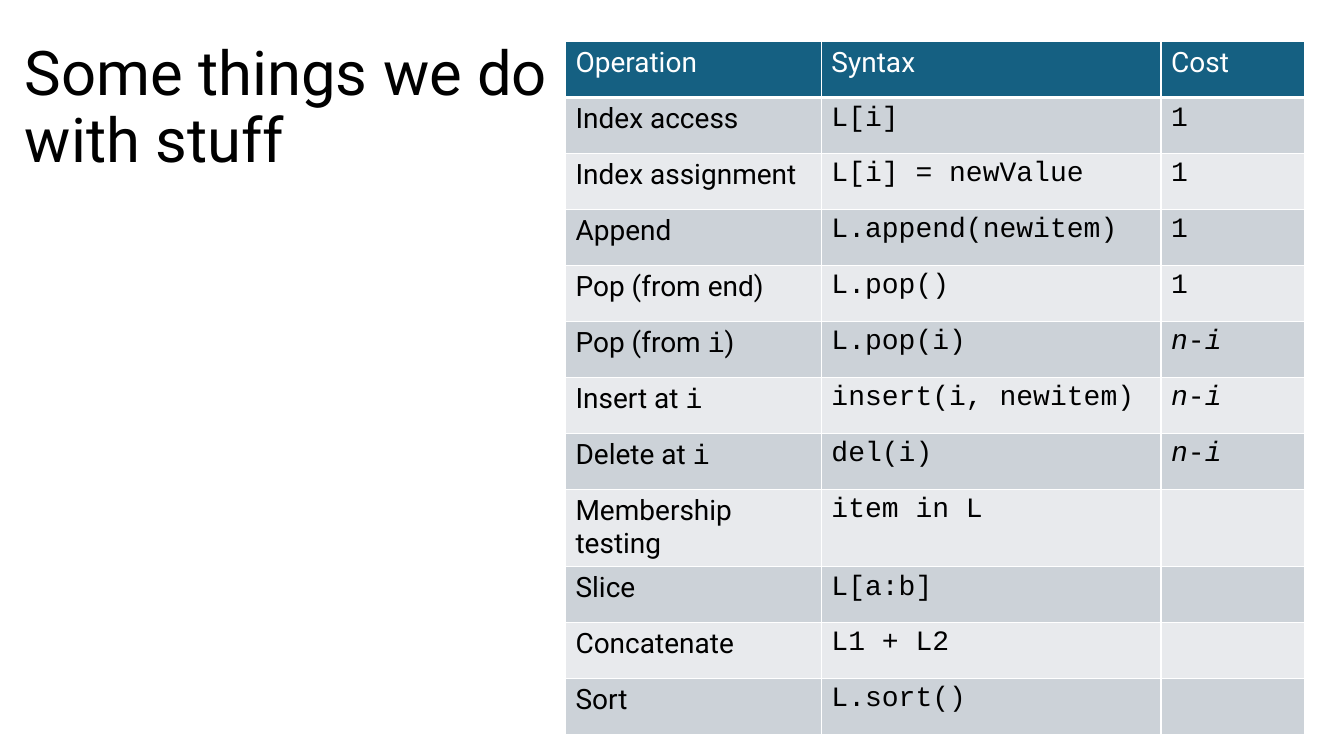
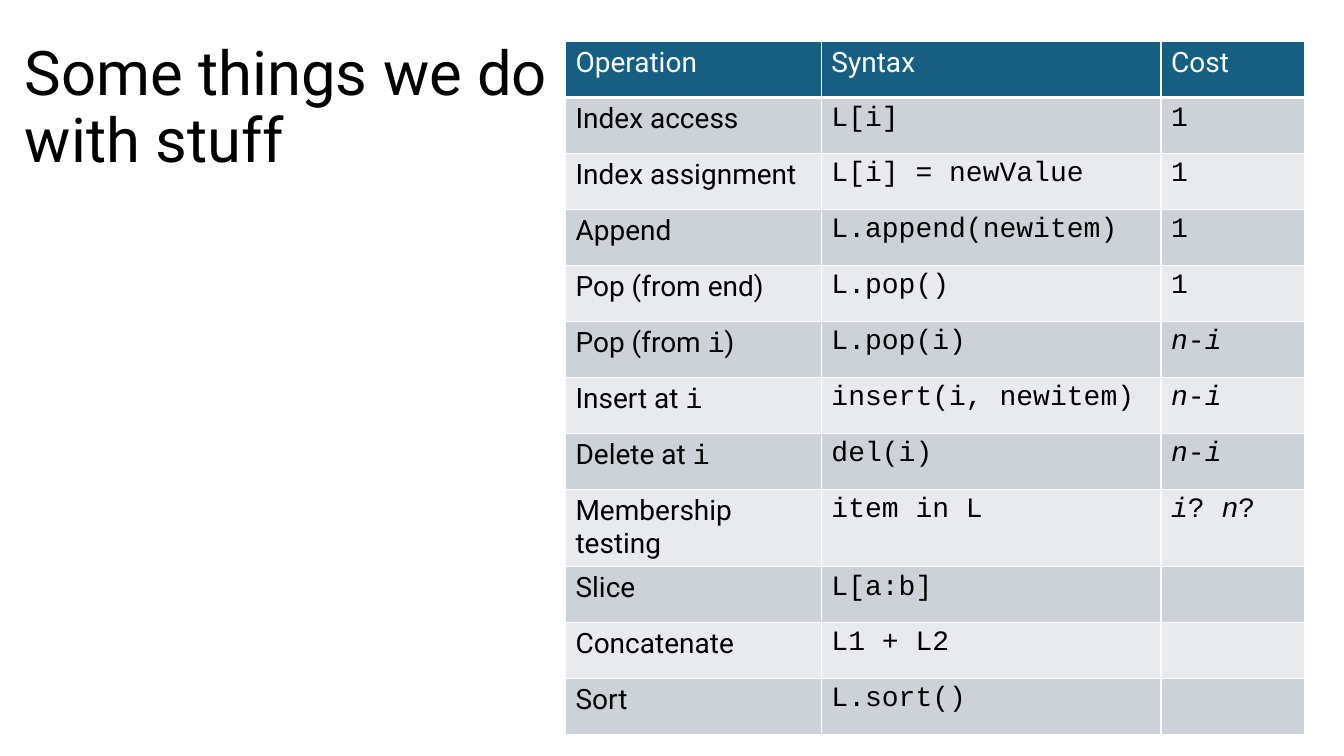
from dataclasses import dataclass

from lxml import etree
from pptx import Presentation
from pptx.dml.color import RGBColor
from pptx.enum.text import MSO_ANCHOR
from pptx.oxml.ns import qn
from pptx.slide import Slide
from pptx.table import _Cell
from pptx.util import Cm, Pt

MIDDLE = MSO_ANCHOR.MIDDLE
BLANK_LAYOUT = 6
MARK = "`"  # encloses the emphasised part of a cell text


@dataclass(frozen=True)
class Theme:
    text: str = "000000"
    header_text: str = "FFFFFF"
    header_fill: str = "156082"
    bands: tuple[str, str] = ("CCD2D8", "E8EAED")
    border: str = "FFFFFF"
    border_width: float = 1
    header_rule: float = 3
    body_font: str = "Roboto"
    code_font: str = "Courier New"
    title_size: int = 44
    table_size: int = 20


THEME = Theme()


@dataclass(frozen=True)
class Column:
    heading: str
    width: float
    font: str
    italic_marks: bool = False


@dataclass(frozen=True)
class Operation:
    name: str
    syntax: str
    cost: str = ""


TITLE = "Some things we do\vwith stuff"
ROW_HEIGHT = 1.41
COLUMNS = (
    Column("Operation", 6.45, THEME.body_font),
    Column("Syntax", 8.56, THEME.code_font),
    Column("Cost", 3.61, THEME.code_font, italic_marks=True),
)
SHIFT_COST = "`n`-`i`"
MEMBERSHIP_COSTS = ("", "`i`?` n`?")


def list_operations(membership_cost: str) -> list[Operation]:
    return [
        Operation("Index access", "L[i]", "1"),
        Operation("Index assignment", "L[i] = newValue", "1"),
        Operation("Append", "L.append(newitem)", "1"),
        Operation("Pop (from end)", "L.pop()", "1"),
        Operation("Pop (from `i`)", "L.pop(i)", SHIFT_COST),
        Operation("Insert at `i`", "insert(i, newitem)", SHIFT_COST),
        Operation("Delete at `i`", "del(i)", SHIFT_COST),
        Operation("Membership testing", "item in L", membership_cost),
        Operation("Slice", "L[a:b]"),
        Operation("Concatenate", "L1 + L2"),
        Operation("Sort", "L.sort()"),
    ]


def add_title(s: Slide) -> None:
    tf = s.shapes.add_textbox(Cm(0.38), Cm(0.91), Cm(29.2), Cm(3.68)).text_frame
    tf.word_wrap = True
    tf.vertical_anchor = MIDDLE
    p = tf.paragraphs[0]
    p.text = TITLE
    p.line_spacing = 0.9
    p.font.name = THEME.body_font
    p.font.size = Pt(THEME.title_size)
    p.font.color.rgb = RGBColor.from_string(THEME.text)


def set_borders(cell: _Cell, bottom: float) -> None:
    tc_pr = cell._tc.get_or_add_tcPr()
    width = THEME.border_width
    for side, points in (("L", width), ("R", width), ("T", width), ("B", bottom)):
        ln = etree.SubElement(tc_pr, qn(f"a:ln{side}"), w=str(Pt(points)))
        fill = etree.SubElement(ln, qn("a:solidFill"))
        etree.SubElement(fill, qn("a:srgbClr"), val=THEME.border)


def fill_cell(cell: _Cell, text: str, column: Column, font: str,
              color: str, fill: str, bottom: float) -> None:
    """Write the text; marked parts become italic or code, as the column says."""
    set_borders(cell, bottom)
    cell.fill.solid()
    cell.fill.fore_color.rgb = RGBColor.from_string(fill)
    p = cell.text_frame.paragraphs[0]
    p.font.name = font
    p.font.size = Pt(THEME.table_size)
    p.font.bold = False
    p.font.color.rgb = RGBColor.from_string(color)
    for i, part in enumerate(text.split(MARK)):
        if not part:
            continue
        r = p.add_run()
        r.text = part
        if i % 2 and column.italic_marks:
            r.font.italic = True
        elif i % 2:
            r.font.name = THEME.code_font


def add_operations_table(s: Slide, operations: list[Operation]) -> None:
    row_count = len(operations) + 1
    table = s.shapes.add_table(
        row_count, len(COLUMNS), Cm(14.25), Cm(1.05),
        Cm(sum(c.width for c in COLUMNS)), Cm(row_count * ROW_HEIGHT),
    ).table
    for row in table.rows:
        row.height = Cm(ROW_HEIGHT)
    for x, column in enumerate(COLUMNS):
        table.columns[x].width = Cm(column.width)
        fill_cell(table.cell(0, x), column.heading, column, THEME.body_font,
                  THEME.header_text, THEME.header_fill, THEME.header_rule)
    for y, op in enumerate(operations):
        for x, (column, text) in enumerate(zip(COLUMNS, (op.name, op.syntax, op.cost))):
            fill_cell(table.cell(y + 1, x), text, column, column.font,
                      THEME.text, THEME.bands[y % 2], THEME.border_width)


def main() -> None:
    prs = Presentation()
    prs.slide_width, prs.slide_height = Cm(33.87), Cm(19.05)
    for membership_cost in MEMBERSHIP_COSTS:
        s = prs.slides.add_slide(prs.slide_layouts[BLANK_LAYOUT])
        add_title(s)
        add_operations_table(s, list_operations(membership_cost))
    prs.save("out.pptx")


if __name__ == "__main__":
    main()
